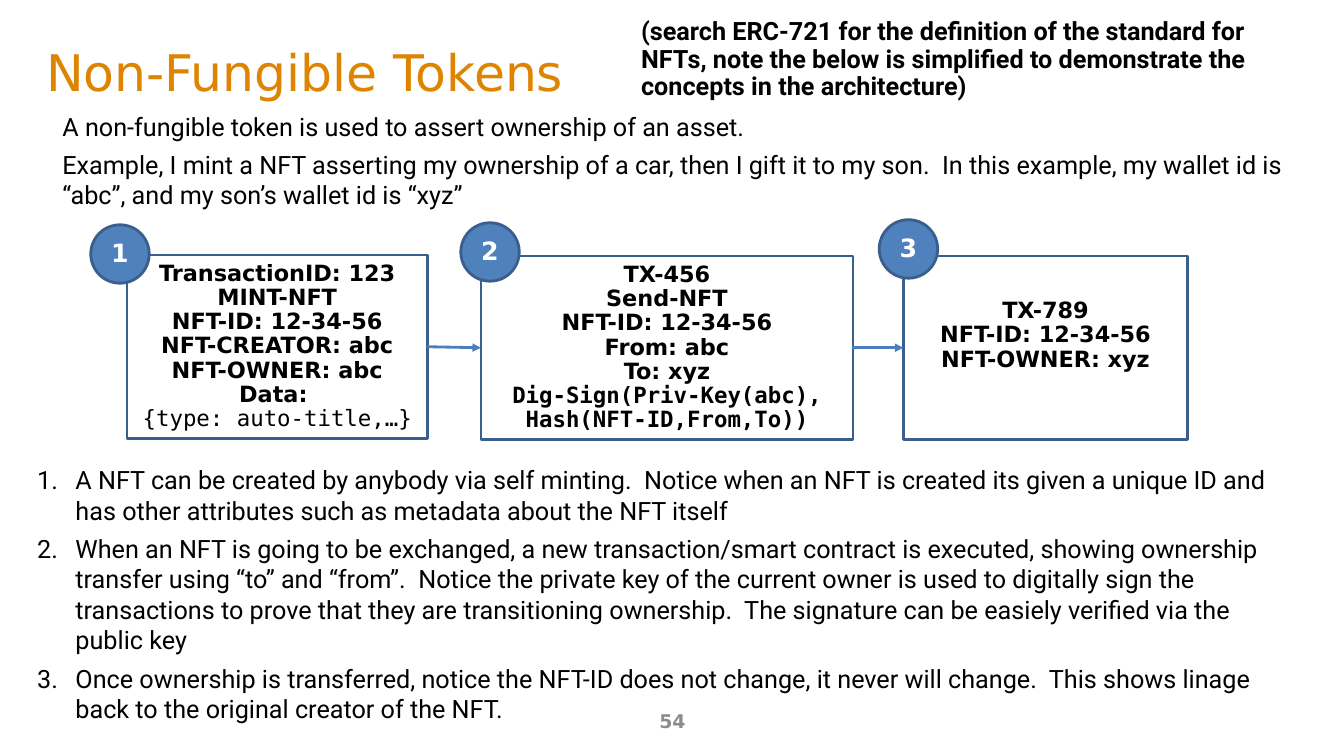
from dataclasses import dataclass

from lxml.etree import SubElement
from pptx import Presentation
from pptx.dml.color import RGBColor
from pptx.enum.shapes import MSO_CONNECTOR, MSO_SHAPE
from pptx.enum.text import MSO_ANCHOR, PP_ALIGN
from pptx.oxml.ns import qn
from pptx.util import Inches, Pt

COLORS = {
    "text": "000000",
    "title": "DE8400",
    "page_number": "8C8C8C",
    "outline": "3A5F8C",
    "badge": "4F81BD",
    "badge_text": "FFFFFF",
    "arrow": "4B7EBC",
}
HEADING, BODY, CODE = "DejaVu Sans", "Roboto", "DejaVu Sans Mono"


@dataclass
class Style:
    font: str = BODY
    size: float = 18
    color: str = "text"
    bold: bool = False
    align: PP_ALIGN = PP_ALIGN.LEFT
    line_spacing: float = 1.0
    space_after: float = 0


@dataclass
class Entry:
    text: str
    code: str = ""
    code_bold: bool = True


@dataclass
class Transaction:
    left: float
    top: float
    width: float
    badge_left: float
    badge_top: float
    entries: list[Entry]
    bottom_inset: float = 0.05


@dataclass
class Arrow:
    start: tuple[float, float]
    end: tuple[float, float]


PLAIN = Style(space_after=6)
BOX_STYLE = Style(HEADING, 16, bold=True, align=PP_ALIGN.CENTER, line_spacing=0.9)
BADGE_STYLE = Style(HEADING, 18, "badge_text", True, PP_ALIGN.CENTER, 0.9)
BOX_HEIGHT, BADGE_SIZE = 1.82, 0.58

TRANSACTIONS = [
    Transaction(1.26, 2.53, 2.98, 0.9, 2.23, [
        Entry("TransactionID: 123 MINT-NFT\vNFT-ID: 12-34-56"),
        Entry("NFT-CREATOR: abc"),
        Entry("NFT-OWNER: abc"),
        Entry("Data: \v", "{type: auto-title,…} ", False),
    ]),
    Transaction(4.77, 2.54, 3.69, 4.57, 2.21, [
        Entry("TX-456\vSend-NFT\vNFT-ID: 12-34-56"),
        Entry("From: abc"),
        Entry("To: xyz\v", "Dig-Sign(Priv-Key(abc),\vHash(NFT-ID,From,To))"),
    ]),
    Transaction(8.96, 2.54, 2.82, 8.72, 2.18, [
        Entry("TX-789"),
        Entry("NFT-ID: 12-34-56\vNFT-OWNER: xyz"),
    ], bottom_inset=0.29),
]
ARROWS = [Arrow((4.24, 3.44), (4.77, 3.45)), Arrow((8.45, 3.45), (8.96, 3.45))]

INTRO = [
    Entry("A non-fungible token is used to assert ownership of an asset."),
    Entry("Example, I mint a NFT asserting my ownership of a car, then I gift it to my son.  "
          "In this example, my wallet id is “abc”, and my son’s wallet id is “xyz”"),
]
STEPS = [
    Entry("A NFT can be created by anybody via self minting.  Notice when an NFT is created "
          "its given a unique ID and has other attributes such as metadata about the NFT itself"),
    Entry("When an NFT is going to be exchanged, a new transaction/smart contract is executed, "
          "showing ownership transfer using “to” and “from”.  Notice the private key of the "
          "current owner is used to digitally sign the transactions to prove that they are "
          "transitioning ownership.  The signature can be easiely verified via the public key"),
    Entry("Once ownership is transferred, notice the NFT-ID does not change, it never will "
          "change.  This shows linage back to the original creator of the NFT."),
]
NOTE = ("(search ERC-721 for the definition of the standard for\v"
        "NFTs, note the below is simplified to demonstrate the\v"
        "concepts in the architecture)")


def rgb(name: str) -> RGBColor:
    return RGBColor.from_string(COLORS[name])


def write(frame, entries: list[Entry], style: Style, anchor=MSO_ANCHOR.TOP) -> None:
    frame.word_wrap = True
    frame.vertical_anchor = anchor
    for index, entry in enumerate(entries):
        para = frame.add_paragraph() if index else frame.paragraphs[0]
        para.text = entry.text
        para.alignment = style.align
        para.line_spacing = style.line_spacing
        para.space_after = Pt(style.space_after)
        para.font.name, para.font.size = style.font, Pt(style.size)
        para.font.bold = style.bold
        para.font.color.rgb = rgb(style.color)
        for number, line in enumerate(entry.code.split("\v") if entry.code else []):
            if number:
                para.add_line_break()
            span = para.add_run()
            span.text = line
            span.font.name, span.font.bold = CODE, entry.code_bold


def add_text(page, area: tuple, entries: list[Entry], style: Style, anchor=MSO_ANCHOR.TOP):
    box = page.shapes.add_textbox(*map(Inches, area))
    write(box.text_frame, entries, style, anchor)
    return box


def add_outlined(page, preset: MSO_SHAPE, area: tuple, entries: list[Entry], style: Style):
    shape = page.shapes.add_shape(preset, *map(Inches, area))
    shape.shadow.inherit = False
    shape.fill.background()
    shape.line.color.rgb = rgb("outline")
    shape.line.width = Pt(2)
    write(shape.text_frame, entries, style, MSO_ANCHOR.MIDDLE)
    return shape


def add_arrow(page, arrow: Arrow) -> None:
    line = page.shapes.add_connector(
        MSO_CONNECTOR.STRAIGHT, *map(Inches, arrow.start + arrow.end))
    line.line.color.rgb = rgb("arrow")
    line.line.width = Pt(2)
    SubElement(line.line._get_or_add_ln(), qn("a:tailEnd"), type="triangle")
    SubElement(line._element.spPr, qn("a:effectLst"))


def number_paragraphs(box) -> None:
    for para in box.text_frame.paragraphs:
        properties = para._p.get_or_add_pPr()
        properties.set("marL", str(Inches(0.38)))
        properties.set("indent", str(-Inches(0.38)))
        numbering = properties.makeelement(qn("a:buAutoNum"), {"type": "arabicPeriod"})
        properties.find(qn("a:defRPr")).addprevious(numbering)


def main() -> None:
    deck = Presentation()
    deck.slide_width, deck.slide_height = Inches(13.33), Inches(7.5)
    page = deck.slides.add_slide(deck.slide_layouts[6])

    # Page number, title and introduction
    add_text(page, (4.56, 6.95, 4.22, 0.4), [Entry("54")],
             Style(HEADING, 13.5, "page_number", True, PP_ALIGN.CENTER), MSO_ANCHOR.MIDDLE)
    add_text(page, (0.36, 0.33, 11.96, 0.76), [Entry("Non-Fungible Tokens")],
             Style(HEADING, 36, "title"), MSO_ANCHOR.MIDDLE)
    add_text(page, (0.52, 1.05, 12.69, 1.09), INTRO, PLAIN)

    # Transaction chain
    for item in TRANSACTIONS:
        box = add_outlined(page, MSO_SHAPE.RECTANGLE,
                           (item.left, item.top, item.width, BOX_HEIGHT),
                           item.entries, BOX_STYLE)
        box.text_frame.margin_bottom = Inches(item.bottom_inset)
    for arrow in ARROWS:
        add_arrow(page, arrow)

    # Numbered explanation
    number_paragraphs(add_text(page, (0.27, 4.56, 12.69, 3.08), STEPS, PLAIN))

    # Step badges
    for number, item in enumerate(TRANSACTIONS, 1):
        badge = add_outlined(page, MSO_SHAPE.OVAL,
                             (item.badge_left, item.badge_top, BADGE_SIZE, BADGE_SIZE),
                             [Entry(str(number))], BADGE_STYLE)
        badge.fill.solid()
        badge.fill.fore_color.rgb = rgb("badge")

    # Side note
    note = add_text(page, (6.26, 0.14, 6.59, 0.92), [Entry(NOTE)],
                    Style(bold=True, line_spacing=0.9))
    note.text_frame.word_wrap = False

    deck.save("out.pptx")


if __name__ == "__main__":
    main()
